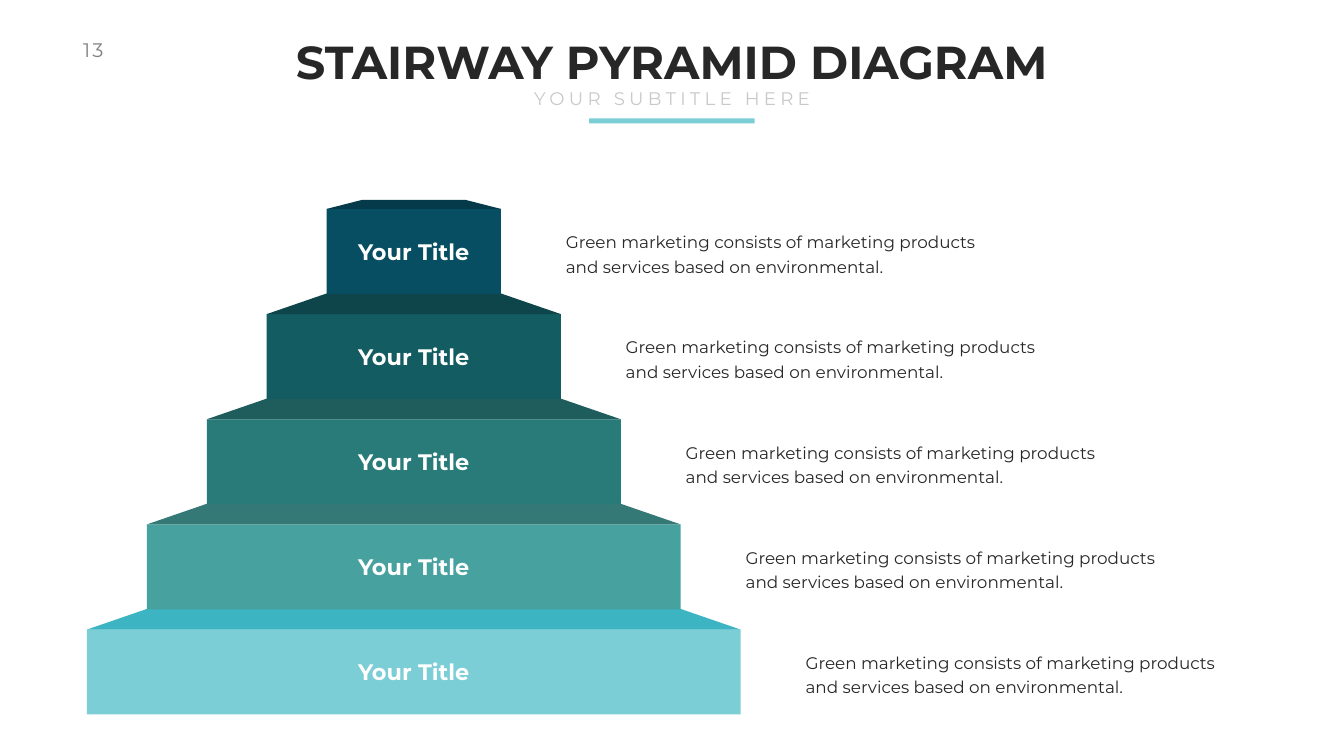
from dataclasses import dataclass

from pptx import Presentation
from pptx.dml.color import RGBColor
from pptx.enum.shapes import MSO_SHAPE
from pptx.enum.text import MSO_ANCHOR, MSO_AUTO_SIZE, PP_ALIGN
from pptx.util import Cm, Pt

RECTANGLE = MSO_SHAPE.RECTANGLE
TOP, MIDDLE = MSO_ANCHOR.TOP, MSO_ANCHOR.MIDDLE
GROW = MSO_AUTO_SIZE.SHAPE_TO_FIT_TEXT
LEFT, CENTER = PP_ALIGN.LEFT, PP_ALIGN.CENTER


@dataclass(frozen=True)
class Theme:
    font: str = "Montserrat"
    dark: str = "272727"
    gray: str = "808080"
    pale: str = "C9C9C9"
    white: str = "FFFFFF"
    accent: str = "7BCDD6"
    # (front, tread) from the top step to the bottom one
    steps: tuple = (
        ("074E63", "053A4A"),
        ("135C62", "0E454A"),
        ("297B7A", "1F5C5C"),
        ("47A19F", "357977"),
        ("7BCDD6", "3CB4C1"),
    )
    title_size: int = 66
    label_size: int = 32
    number_size: int = 28
    subtitle_size: int = 26
    body_size: int = 24
    body_leading: int = 35
    body_before: float = 4.8


THEME = Theme()

# Pyramid geometry in centimetres
AXIS = 20.85
FIRST_TOP = 10.53
STEP_PITCH = 5.3
FRONT_HEIGHT = 4.28
FIRST_WIDTH = 8.78
STEP_RUN = 3.02
TREAD_HEIGHT = 1.04
CAP_HEIGHT, CAP_INSET = 0.46, 1.8

LABEL = "Your Title"
DESCRIPTION = (
    "Green marketing consists of marketing products "
    "and services based on environmental."
)


def add_text(slide, text, left, top, width, height, *, size, color, bold=False,
             align=LEFT, anchor=TOP, wrap=False, tracking=0, leading=None,
             before=None, insets=(0.25, 0.13)):
    """Add a one-paragraph text box; lengths in cm, type measures in points."""
    box = slide.shapes.add_textbox(Cm(left), Cm(top), Cm(width), Cm(height))
    frame = box.text_frame
    frame.word_wrap = wrap
    frame.auto_size = GROW
    frame.vertical_anchor = anchor
    frame.margin_left = frame.margin_right = Cm(insets[0])
    frame.margin_top = frame.margin_bottom = Cm(insets[1])
    para = frame.paragraphs[0]
    para.alignment = align
    if leading:
        para.line_spacing = Pt(leading)
    if before:
        para.space_before = Pt(before)
    span = para.add_run()
    span.text = text
    span.font.name = THEME.font
    span.font.size = Pt(size)
    span.font.bold = bold
    span.font.color.rgb = RGBColor.from_string(color)
    if tracking:
        span.font._element.set("spc", str(tracking * 100))


def paint(shape, color):
    shape.shadow.inherit = False
    shape.fill.solid()
    shape.fill.fore_color.rgb = RGBColor.from_string(color)
    shape.line.fill.background()


def add_rectangle(slide, left, top, width, height, color):
    shape = slide.shapes.add_shape(
        RECTANGLE, Cm(left), Cm(top), Cm(width), Cm(height))
    paint(shape, color)


def add_tread(slide, left, base, width, height, inset, color):
    """Add the trapezoid that lies on top of a step's front."""
    right, top = left + width, base - height
    corners = [(right - inset, top), (left + inset, top),
               (left, base), (right, base)]
    points = [(Cm(x), Cm(y)) for x, y in corners]
    builder = slide.shapes.build_freeform(*points[0])
    builder.add_line_segments(points[1:], close=True)
    paint(builder.convert_to_shape(), color)


def add_header(slide):
    add_text(slide, "13", 3.94, 1.8, 2.13, 1.45,
             size=THEME.number_size, color=THEME.gray, tracking=3)
    add_text(slide, "STAIRWAY PYRAMID DIAGRAM", 14.3, 1.55, 39.09, 3.07,
             size=THEME.title_size, color=THEME.dark, bold=True, align=CENTER)
    add_rectangle(slide, 29.69, 5.97, 8.33, 0.25, THEME.accent)
    add_text(slide, "YOUR SUBTITLE HERE", 26.44, 4.29, 14.86, 1.37,
             size=THEME.subtitle_size, color=THEME.pale, align=CENTER, tracking=6)


def add_step(slide, index):
    front, tread = THEME.steps[index]
    top = FIRST_TOP + index * STEP_PITCH
    width = FIRST_WIDTH + 2 * index * STEP_RUN
    left = AXIS - width / 2
    add_rectangle(slide, left, top, width, FRONT_HEIGHT, front)
    height, inset = (TREAD_HEIGHT, STEP_RUN) if index else (CAP_HEIGHT, CAP_INSET)
    add_tread(slide, left, top, width, height, inset, tread)


def add_step_texts(slide, index):
    top = FIRST_TOP + index * STEP_PITCH
    add_text(slide, LABEL, AXIS - 3.11, top + 1.32, 6.22, 1.63,
             size=THEME.label_size, color=THEME.white, bold=True,
             align=CENTER, anchor=MIDDLE)
    add_text(slide, DESCRIPTION, 27.9 + index * STEP_RUN, top + 0.64, 23.52, 3,
             size=THEME.body_size, color=THEME.dark, wrap=True,
             leading=THEME.body_leading, before=THEME.body_before,
             insets=(0.61, 0.3))


def main():
    deck = Presentation()
    deck.slide_width, deck.slide_height = Cm(67.72), Cm(38.1)
    slide = deck.slides.add_slide(deck.slide_layouts[6])
    add_header(slide)
    indexes = range(len(THEME.steps))
    for index in reversed(indexes):
        add_step(slide, index)
    for index in indexes:
        add_step_texts(slide, index)
    deck.save("out.pptx")


if __name__ == "__main__":
    main()
